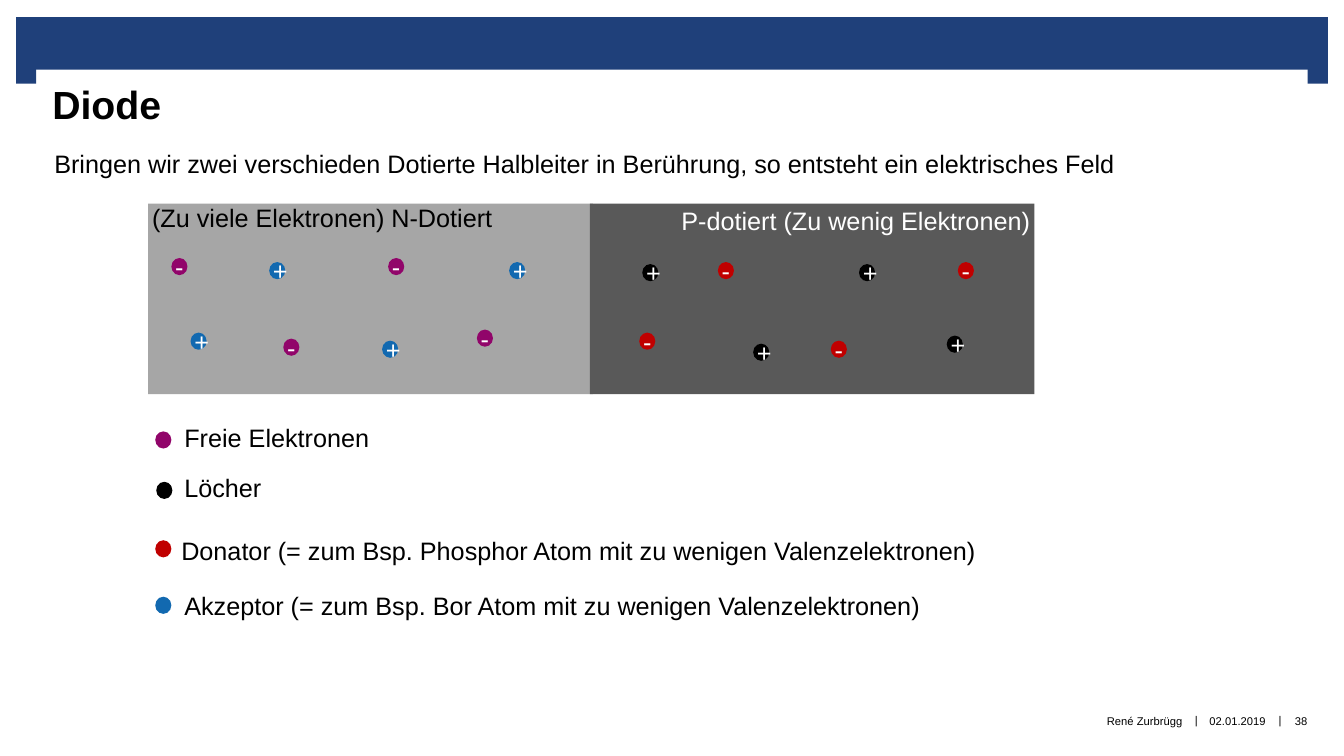
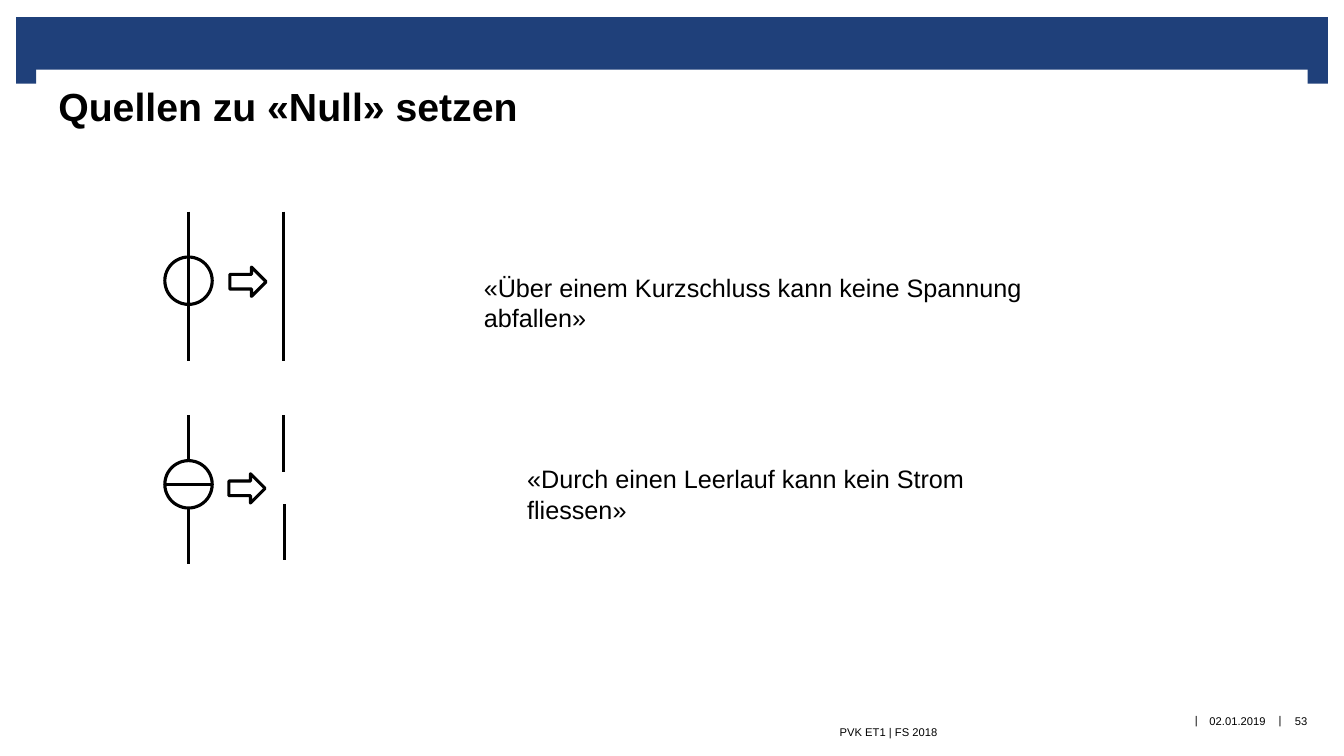
"""Build two lecture slides: the diode and setting sources to zero."""
from dataclasses import dataclass

from lxml import etree
from pptx import Presentation
from pptx import util as u
from pptx.dml.color import RGBColor
from pptx.enum import shapes, text
from pptx.oxml.ns import qn

FONT = "Arial"
BLACK, WHITE, BLUE = "000000", "FFFFFF", "1F407A"
N_GREY, P_GREY = "A6A6A6", "595959"
ELECTRON, HOLE, ACCEPTOR, DONOR = "91056A", "000000", "1269B0", "C00000"
DATE = "02.01.2019"
LEFT, CENTER, RIGHT = text.PP_ALIGN.LEFT, text.PP_ALIGN.CENTER, text.PP_ALIGN.RIGHT
RECTANGLE, OVAL = shapes.MSO_SHAPE.RECTANGLE, shapes.MSO_SHAPE.OVAL
DEFAULT_INSETS = (0.1, 0.05, 0.1, 0.05)
NO_INSETS = (0, 0, 0, 0)
DOT_SIZE = (0.16, 0.17)
LINE_WIDTH = 2.25
WIRE_X, REPLACEMENT_X = 1.87, 2.81
WIRE_LENGTH, CIRCLE_SIZE, CIRCLE_OFFSET = 1.48, 0.47, 0.45


@dataclass(frozen=True)
class Box:
    """Position and size in inches."""
    left: float
    top: float
    width: float
    height: float

    def lengths(self) -> list:
        """Return the four values as lengths."""
        return [u.Inches(value) for value in (self.left, self.top, self.width, self.height)]


@dataclass(frozen=True)
class Carriers:
    """Charges of one kind with their sign and places."""
    color: str
    sign: str
    places: tuple


@dataclass(frozen=True)
class LegendEntry:
    """A coloured dot and its label."""
    color: str
    label: str
    dot: tuple
    label_box: Box


@dataclass(frozen=True)
class SourceRow:
    """A source symbol, its replacement wires and a statement."""
    top: float
    fill: str | None
    upright_bar: bool
    arrow: tuple
    wires: tuple
    statement: str
    statement_box: Box


CARRIERS = (
    Carriers(ELECTRON, "-", ((1.7, 2.56), (2.81, 3.36), (3.85, 2.56), (4.73, 3.27))),
    Carriers(HOLE, "+", ((6.37, 2.62), (7.47, 3.41), (8.52, 2.62), (9.39, 3.33))),
    Carriers(ACCEPTOR, "+", ((5.05, 2.6), (3.79, 3.38), (2.67, 2.6), (1.89, 3.3))),
    Carriers(DONOR, "-", ((9.5, 2.6), (8.24, 3.38), (7.12, 2.6), (6.34, 3.3))),
)

LEGEND = (
    LegendEntry(ELECTRON, "Freie Elektronen", (1.54, 4.28), Box(1.73, 4.14, 2.05, 0.4)),
    LegendEntry(HOLE, "Löcher", (1.55, 4.78), Box(1.73, 4.64, 0.97, 0.4)),
    LegendEntry(DONOR, "Donator (= zum Bsp. Phosphor Atom mit zu wenigen Valenzelektronen)",
                (1.54, 5.36), Box(1.7, 5.26, 8.16, 0.4)),
    LegendEntry(ACCEPTOR, "Akzeptor (= zum Bsp. Bor Atom mit zu wenigen Valenzelektronen)",
                (1.54, 5.92), Box(1.73, 5.81, 7.57, 0.4)),
)

SOURCES = (
    SourceRow(2.1, None, True, (2.28, 2.65), ((REPLACEMENT_X, 2.1, 3.58),),
              "«Über einem Kurzschluss kann keine Spannung abfallen»",
              Box(4.7, 2.65, 5.83, 0.4)),
    SourceRow(4.12, WHITE, False, (2.27, 4.7),
              ((REPLACEMENT_X, 4.12, 4.68), (REPLACEMENT_X + 0.01, 5, 5.56)),
              "«Durch einen Leerlauf kann kein Strom fliessen»",
              Box(5.13, 4.55, 4.97, 0.4)),
)


def rgb(color: str) -> RGBColor:
    """Turn a hex string into a colour."""
    return RGBColor.from_string(color)


def style_text(frame, content: str, size: float, color: str, align, bold: bool = False) -> None:
    """Fill a text frame with one formatted paragraph."""
    frame.text = content
    paragraph = frame.paragraphs[0]
    paragraph.alignment = align
    for run in paragraph.runs:
        run.font.name = FONT
        run.font.size = u.Pt(size)
        run.font.bold = bold
        run.font.color.rgb = rgb(color)


def add_label(slide, box: Box, content: str, size: float = 18, color: str = BLACK, align=LEFT,
              insets: tuple = DEFAULT_INSETS, anchor=text.MSO_ANCHOR.TOP,
              wrap: bool = False, bold: bool = False):
    """Add a text box."""
    shape = slide.shapes.add_textbox(*box.lengths())
    frame = shape.text_frame
    frame.word_wrap = wrap
    frame.vertical_anchor = anchor
    (frame.margin_left, frame.margin_top,
     frame.margin_right, frame.margin_bottom) = (u.Inches(inset) for inset in insets)
    style_text(frame, content, size, color, align, bold)
    return shape


def add_figure(slide, kind, box: Box, fill: str | None, line: str | None = None):
    """Add a preset shape without shadow."""
    shape = slide.shapes.add_shape(kind, *box.lengths())
    shape.shadow.inherit = False
    if fill is None:
        shape.fill.background()
    else:
        shape.fill.solid()
        shape.fill.fore_color.rgb = rgb(fill)
    if line is None:
        shape.line.fill.background()
    else:
        shape.line.color.rgb = rgb(line)
        shape.line.width = u.Pt(LINE_WIDTH)
    return shape


def add_wire(slide, start: tuple, end: tuple) -> None:
    """Add a straight black line."""
    points = [u.Inches(value) for value in (*start, *end)]
    connector = slide.shapes.add_connector(shapes.MSO_CONNECTOR.STRAIGHT, *points)
    connector.line.color.rgb = rgb(BLACK)
    connector.line.width = u.Pt(LINE_WIDTH)
    etree.SubElement(connector._element.spPr, qn("a:effectLst"))


def add_footer(slide, box: Box, content: str, align=CENTER) -> None:
    """Add one small footer text."""
    add_label(slide, box, content, 8, align=align, insets=NO_INSETS,
              anchor=text.MSO_ANCHOR.MIDDLE)


def add_base_slide(presentation, title: str, title_box: Box, number: int):
    """Add a slide with the shared band, title and footer."""
    slide = presentation.slides.add_slide(presentation.slide_layouts[6])
    for box in (Box(0.16, 0.17, 13.01, 0.52), Box(0.16, 0.65, 0.2, 0.18),
                Box(12.97, 0.65, 0.2, 0.18)):
        add_figure(slide, RECTANGLE, box, BLUE)
    for left in (11.79, 12.62):
        add_footer(slide, Box(left, 6.89, 0.15, 0.51), "|")
    add_footer(slide, Box(11.94, 6.9, 0.67, 0.51), DATE)
    add_footer(slide, Box(12.71, 6.9, 0.39, 0.51), str(number))
    add_label(slide, title_box, title, 28, insets=(0.16, 0.12, 0.16, 0), wrap=True, bold=True)
    return slide


def build_diode(presentation) -> None:
    """Build the slide on the diode."""
    slide = add_base_slide(presentation, "Diode", Box(0.36, 0.68, 10.5, 0.63), 38)
    add_footer(slide, Box(6.66, 6.9, 5.07, 0.5), "René Zurbrügg", RIGHT)
    add_label(slide, Box(0.44, 1.42, 10.82, 0.4),
              "Bringen wir zwei verschieden Dotierte Halbleiter in Berührung, "
              "so entsteht ein elektrisches Feld")
    for left, color in ((1.47, N_GREY), (5.85, P_GREY)):
        add_figure(slide, RECTANGLE, Box(left, 2.02, 4.41, 1.89), color)
    for carriers in CARRIERS:
        for place in carriers.places:
            dot = add_figure(slide, OVAL, Box(*place, *DOT_SIZE), carriers.color)
            style_text(dot.text_frame, carriers.sign, 18, WHITE, CENTER)
    add_label(slide, Box(1.41, 1.96, 3.61, 0.4), "(Zu viele Elektronen) N-Dotiert")
    add_label(slide, Box(6.66, 1.99, 3.67, 0.4), "P-dotiert (Zu wenig Elektronen)", color=WHITE)
    for entry in LEGEND:
        add_figure(slide, OVAL, Box(*entry.dot, *DOT_SIZE), entry.color)
        add_label(slide, entry.label_box, entry.label)


def add_source(slide, row: SourceRow) -> None:
    """Draw a source, the arrow, its replacement and the statement."""
    add_wire(slide, (WIRE_X, row.top), (WIRE_X, row.top + WIRE_LENGTH))
    radius = CIRCLE_SIZE / 2
    circle_top = row.top + CIRCLE_OFFSET
    middle = circle_top + radius
    add_figure(slide, OVAL, Box(WIRE_X - radius, circle_top, CIRCLE_SIZE, CIRCLE_SIZE),
               row.fill, BLACK)
    if row.upright_bar:
        add_wire(slide, (WIRE_X, middle - radius), (WIRE_X, middle + radius))
    else:
        add_wire(slide, (WIRE_X - radius, middle), (WIRE_X + radius, middle))
    for x, start, end in row.wires:
        add_wire(slide, (x, start), (x, end))
    add_figure(slide, shapes.MSO_SHAPE.RIGHT_ARROW, Box(*row.arrow, 0.36, 0.29), WHITE, BLACK)
    add_label(slide, row.statement_box, row.statement, wrap=True)


def build_sources(presentation) -> None:
    """Build the slide on setting sources to zero."""
    slide = add_base_slide(presentation, "Quellen zu «Null» setzen", Box(0.42, 0.7, 11, 1.59), 53)
    add_footer(slide, Box(4.03, 7.06, 5.27, 0.4), "PVK ET1 | FS 2018", RIGHT)
    for row in SOURCES:
        add_source(slide, row)


def main() -> None:
    """Create and save the presentation."""
    presentation = Presentation()
    presentation.slide_width = u.Inches(13.33)
    presentation.slide_height = u.Inches(7.5)
    build_diode(presentation)
    build_sources(presentation)
    presentation.save("out.pptx")


if __name__ == "__main__":
    main()
